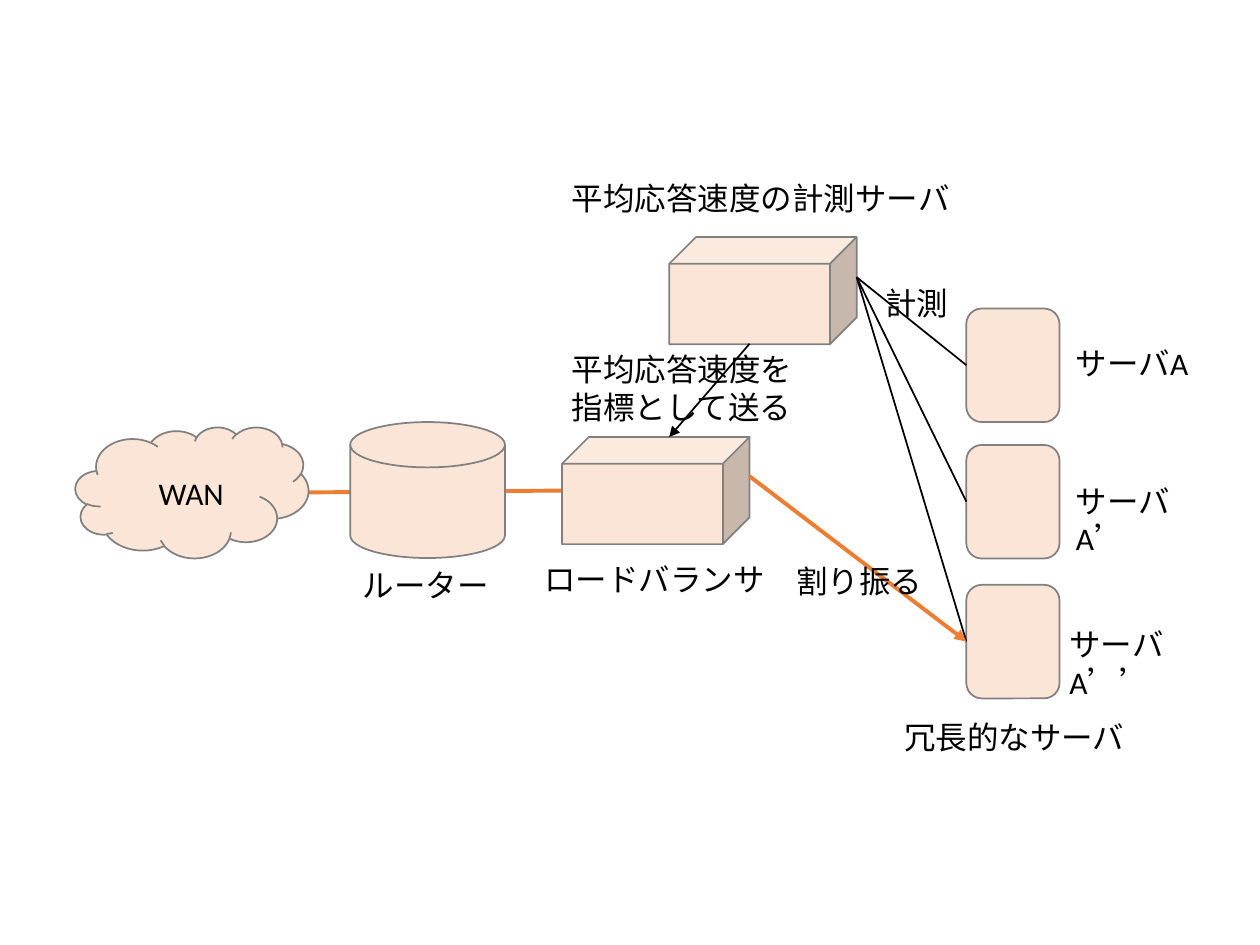
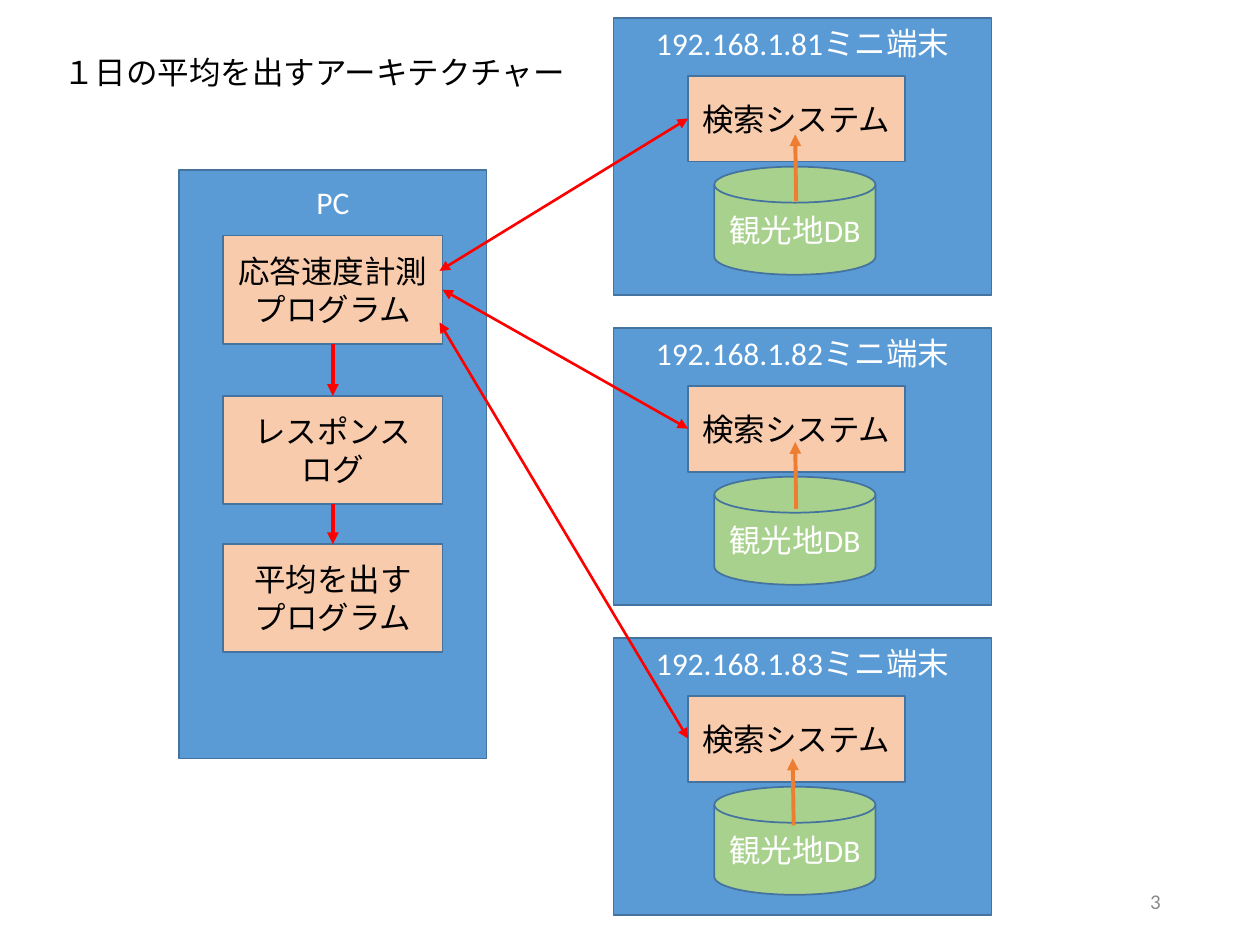
from pptx import Presentation
from pptx.dml.color import RGBColor
from pptx.enum.shapes import MSO_CONNECTOR as Link, MSO_SHAPE as Kind
from pptx.enum.text import MSO_ANCHOR as Anchor, PP_ALIGN as Align
from pptx.oxml.ns import qn
from pptx.util import Cm, Pt
from lxml.etree import SubElement

BLACK, WHITE, GREY, DIM = "000000", "FFFFFF", "808080", "8C8C8C"
CREAM, PEACH, GREEN = "FBE5D6", "F8CBAD", "A9D18E"
BLUE, NAVY, ORANGE, RED = "5B9BD5", "43739E", "ED7D31", "FF0000"


def tint(code):
    return RGBColor.from_string(code)


def assign(item, values):
    for name, value in values.items():
        setattr(item, name, value)


class Deck:
    font = {"name": "Calibri", "size": Pt(18), "bold": False}
    left = {"align": Align.LEFT, "anchor": Anchor.TOP}
    mid = {"align": Align.CENTER, "anchor": Anchor.MIDDLE}
    top = {"align": Align.CENTER, "anchor": Anchor.TOP}
    right = {"align": Align.RIGHT, "anchor": Anchor.MIDDLE}

    def __init__(self):
        self.prs = Presentation()
        assign(self.prs, {"slide_width": Cm(25.4), "slide_height": Cm(19.05)})

    def page(self, layout):
        self.slide = self.prs.slides.add_slide(self.prs.slide_layouts[layout])

    def letter(self, frame, text, color, place, size=18, inset=0.13):
        frame.text = text
        assign(frame, {"word_wrap": True, "vertical_anchor": place["anchor"],
                       "margin_left": Cm(0.25), "margin_right": Cm(0.25),
                       "margin_top": Cm(inset), "margin_bottom": Cm(0.13)})
        for para in frame.paragraphs:
            assign(para, {"alignment": place["align"], "line_spacing": 1.0})
            for run in para.runs:
                assign(run.font, {**self.font, "size": Pt(size)})
                run.font.color.rgb = tint(color)

    def title(self, text, *area):
        head = self.slide.shapes.title
        assign(head, dict(zip(("left", "top", "width", "height"), map(Cm, area))))
        self.letter(head.text_frame, text, BLACK, self.left)

    def label(self, text, x, y, w, h=1.02, color=BLACK, place=left, size=18):
        box = self.slide.shapes.add_textbox(*map(Cm, (x, y, w, h)))
        self.letter(box.text_frame, text, color, place, size)

    def node(self, kind, area, fill, edge, text="", color=BLACK, place=mid, inset=0.13):
        shape = self.slide.shapes.add_shape(kind, *map(Cm, area))
        shape.shadow.inherit = False
        shape.fill.solid()
        shape.fill.fore_color.rgb = tint(fill)
        shape.line.color.rgb = tint(edge)
        shape.line.width = Pt(1)
        if text:
            self.letter(shape.text_frame, text, color, place, inset=inset)

    def link(self, start, end, color=BLACK, width=1, tips=()):
        line = self.slide.shapes.add_connector(Link.STRAIGHT, *map(Cm, (*start, *end)))
        line.line.color.rgb = tint(color)
        line.line.width = Pt(width)
        props = line.element.spPr
        for tip in tips:
            SubElement(props.find(qn("a:ln")), qn(f"a:{tip}"), type="triangle")
        SubElement(props, qn("a:effectLst"))


def network(deck):
    deck.page(6)
    deck.link((5.66, 9.93), (12.67, 9.88), ORANGE, 2.25)
    for kind, area in (
        (Kind.CUBE, (13.49, 4.78, 3.78, 2.16)),
        (Kind.CLOUD, (1.52, 8.61, 4.7, 2.64)),
        (Kind.FLOWCHART_MAGNETIC_DISK, (7.06, 8.51, 3.12, 2.74)),
        (Kind.CUBE, (11.33, 8.81, 3.78, 2.16)),
    ):
        deck.node(kind, area, CREAM, GREY)

    probe = (17.27, 5.59)
    for y, name, x, drop, w in (
        (6.22, "サーバA", 21.44, 0.59, 2.79),
        (8.97, "サーバA’", 21.44, 0.61, 2.97),
        (11.79, "サーバA’’", 21.31, 0.68, 3.12),
    ):
        deck.node(Kind.FLOWCHART_ALTERNATE_PROCESS, (19.48, y, 1.88, 2.29), CREAM, GREY)
        deck.label(name, x, y + drop, w)
        deck.link(probe, (19.48, y + 1.14))

    deck.link((15.11, 6.93), (13.49, 8.81), tips=["tailEnd"])
    deck.link((15.11, 9.6), (19.48, 12.93), ORANGE, 2.25, ["tailEnd"])
    for text, *area in (
        ("ロードバランサ", 10.72, 11.15, 5),
        ("ルーター", 7.06, 11.28, 3.07),
        ("WAN", 2.95, 9.42, 2),
        ("平均応答速度の計測サーバ", 11.28, 3.48, 8.2),
        ("冗長的なサーバ", 17.98, 14.35, 5),
        ("計測", 17.6, 5.59, 1.8),
        ("平均応答速度を\n指標として送る", 11.28, 6.93, 5, 1.8),
        ("割り振る", 15.8, 11.2, 3.07),
    ):
        deck.label(text, *area)


def daily(deck):
    deck.page(5)
    deck.title("１日の平均を出すアーキテクチャー", 1.02, 0.94, 10.77, 1.02)
    deck.label("3", 17.93, 17.65, 5.72, color=DIM, place=deck.right, size=12)

    deck.node(Kind.RECTANGLE, (3.61, 3.43, 6.2, 11.86), BLUE, NAVY,
              "PC", WHITE, deck.top, 0.25)
    for y, text in ((4.75, "応答速度計測\nプログラム"),
                    (7.98, "レスポンス\nログ"),
                    (10.97, "平均を出す\nプログラム")):
        deck.node(Kind.RECTANGLE, (4.5, y, 4.42, 2.18), PEACH, NAVY, text)
    for y, end in ((6.93, 7.98), (10.16, 10.97)):
        deck.link((6.71, y), (6.71, end), RED, 2.25, ["tailEnd"])

    x = 12.37
    ports = ((8.86, 5.46), (8.92, 5.84), (8.86, 6.5))
    feeds = ((16.05, 4.06), (16.05, 10.26), (16, 16.64))
    for i, (port, feed) in enumerate(zip(ports, feeds)):
        y = 0.36 + 6.25 * i
        deck.node(Kind.RECTANGLE, (x, y, 7.62, 5.59), BLUE, NAVY,
                  f"192.168.1.{81 + i}ミニ端末", WHITE, deck.top)
        deck.node(Kind.RECTANGLE, (x + 1.5, y + 1.17, 4.37, 1.73), PEACH, NAVY,
                  "検索システム")
        deck.node(Kind.FLOWCHART_MAGNETIC_DISK, (x + 2.03, y + 3, 3.25, 2.18),
                  GREEN, NAVY, "観光地DB", WHITE)
        deck.link(feed, (feed[0] - 0.02, feed[1] - 1.35), ORANGE, 2.25, ["tailEnd"])
        deck.link(port, (x + 1.5, y + 2.03), RED, 1.5, ["headEnd", "tailEnd"])


def main():
    deck = Deck()
    network(deck)
    daily(deck)
    deck.prs.save("out.pptx")


if __name__ == "__main__":
    main()
